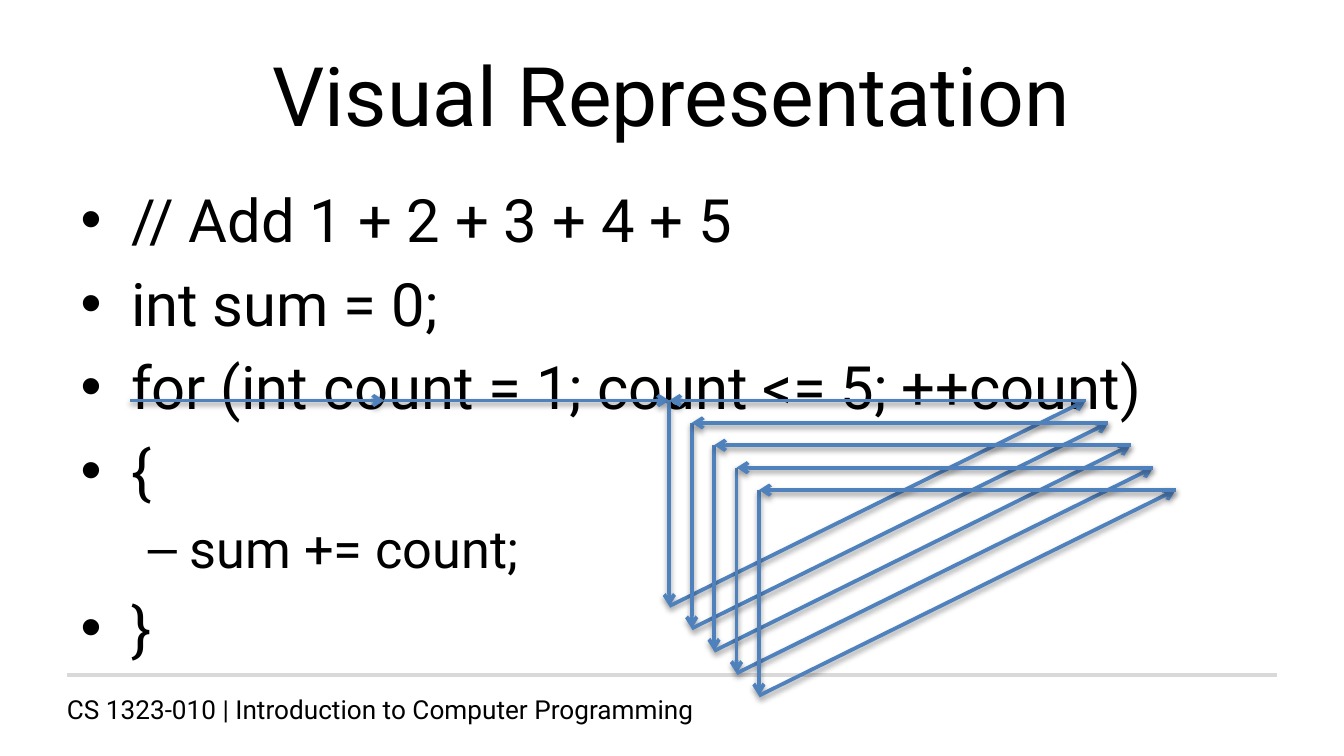
from lxml import etree
from pptx import Presentation
from pptx.dml.color import RGBColor
from pptx.enum.shapes import MSO_CONNECTOR
from pptx.enum.text import MSO_ANCHOR, MSO_AUTO_SIZE, PP_ALIGN
from pptx.oxml import parse_xml
from pptx.oxml.ns import nsdecls, qn
from pptx.util import Inches, Pt

STRAIGHT = MSO_CONNECTOR.STRAIGHT
MIDDLE = MSO_ANCHOR.MIDDLE
FIXED = MSO_AUTO_SIZE.NONE
CENTER = PP_ALIGN.CENTER
FONT = "Roboto"
SHADOW = (
    f'<a:effectLst {nsdecls("a")}>'
    '<a:outerShdw blurRad="39400" dist="20300" dir="5400000" rotWithShape="0">'
    '<a:srgbClr val="000000"><a:alpha val="38000"/></a:srgbClr>'
    '</a:outerShdw></a:effectLst>'
)


def style(paragraph, size, color="000000"):
    for span in paragraph.runs:
        span.font.name = FONT
        span.font.size = Pt(size)
        span.font.color.rgb = RGBColor.from_string(color)


def draw_line(start, end, color, arrow=True):
    line = page.shapes.add_connector(STRAIGHT, *(Inches(v) for v in start + end))
    line.line.color.rgb = RGBColor.from_string(color)
    line.line.width = Pt(2)
    properties = line._element.spPr
    if arrow:
        etree.SubElement(properties.find(qn("a:ln")), qn("a:tailEnd"), type="arrow")
        properties.append(parse_xml(SHADOW))
    else:
        etree.SubElement(properties, qn("a:effectLst"))


# A 16:9 page
deck = Presentation()
width = 10
height = width * 9 / 16
deck.slide_width, deck.slide_height = Inches(width), Inches(height)
page = deck.slides.add_slide(deck.slide_layouts[1])
margin = width * 0.05
content_width = width - 2 * margin

# Title
title = page.shapes.title
title.left, title.top = Inches(margin), Inches(0.23)
title.width, title.height = Inches(content_width), Inches(height / 6)
title.text_frame.text = "Visual Representation"
title.text_frame.auto_size = FIXED
title.text_frame.vertical_anchor = MIDDLE
title.text_frame.paragraphs[0].alignment = CENTER
style(title.text_frame.paragraphs[0], 44)

# Code lines: bullets, indents and spacing come from the template
code = [
    ("// Add 1 + 2 + 3 + 4 + 5", 0),
    ("int sum = 0;", 0),
    ("for (int count = 1; count <= 5; ++count)", 0),
    ("{", 0),
    ("sum += count;", 1),
    ("}", 0),
]
body = page.placeholders[1]
body.left, body.top = Inches(margin), Inches(1.31)
body.width, body.height = Inches(content_width), Inches(3.71)
body.text_frame.text = "\n".join(text for text, level in code)
body.text_frame.auto_size = FIXED
for paragraph, (text, level) in zip(body.text_frame.paragraphs, code):
    paragraph.level = level
    style(paragraph, 28 if level else 32)
body.text_frame.paragraphs[0].space_before = Pt(0)

# Footer with its rule
draw_line((margin, 5.02), (width - margin, 5.02), "D9D9D9", arrow=False)
footer = page.shapes.add_textbox(Inches(0.4), Inches(5.11), Inches(9), Inches(0.21))
footer.text_frame.word_wrap = True
footer.text_frame.text = "CS 1323-010 | Introduction to Computer Programming"
style(footer.text_frame.paragraphs[0], 14)

# Entry into the loop: initialise, then test
blue = "4F81BD"
test_x, test_y = 4.98, 2.98
draw_line((0.97, test_y), (2.86, test_y), blue)
draw_line((2.86, test_y), (test_x, test_y), blue)

# Five passes: test to body, body to increment, increment back to test
step = 1 / 6
for turn in range(5):
    left, top = test_x + turn * step, test_y + turn * step
    test, loop_body, increment = (left, top), (left, top + 1.53), (left + 3.1, top)
    draw_line(test, loop_body, blue)
    draw_line(loop_body, increment, blue)
    draw_line(increment, test, blue)

deck.save("out.pptx")
